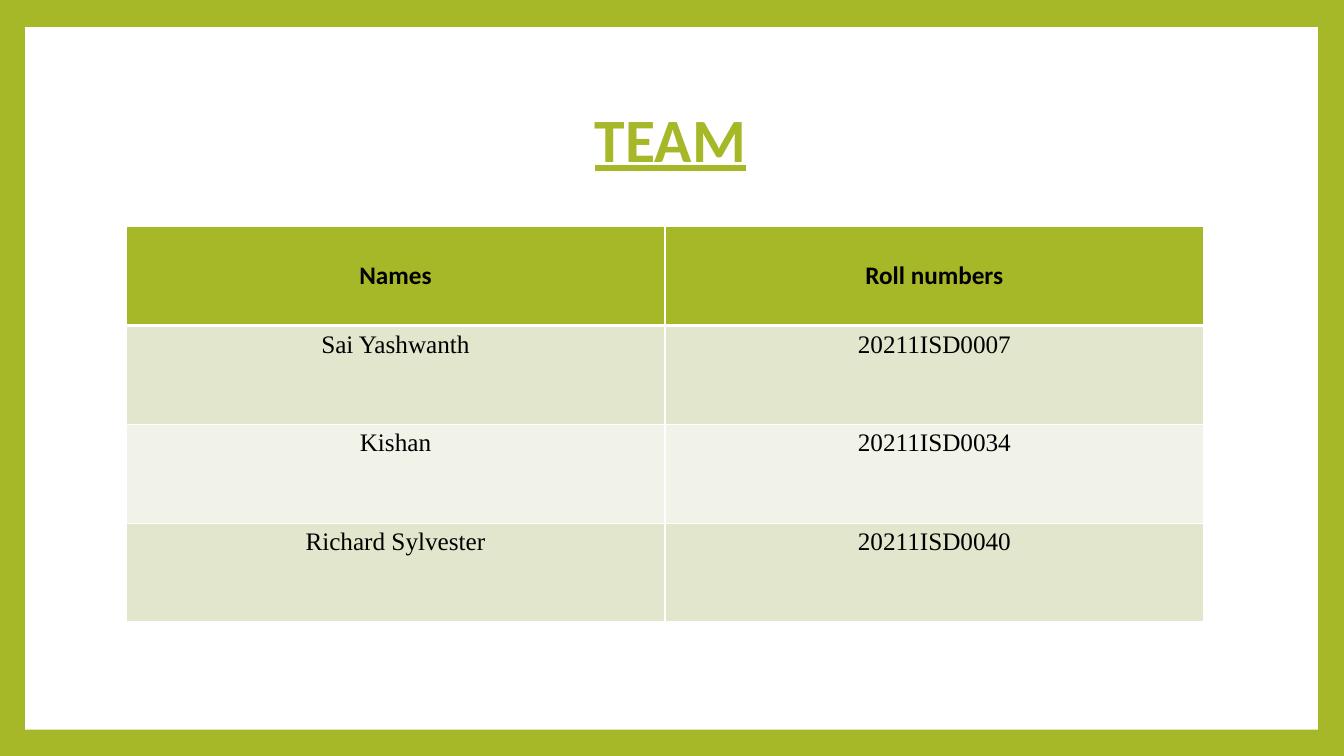
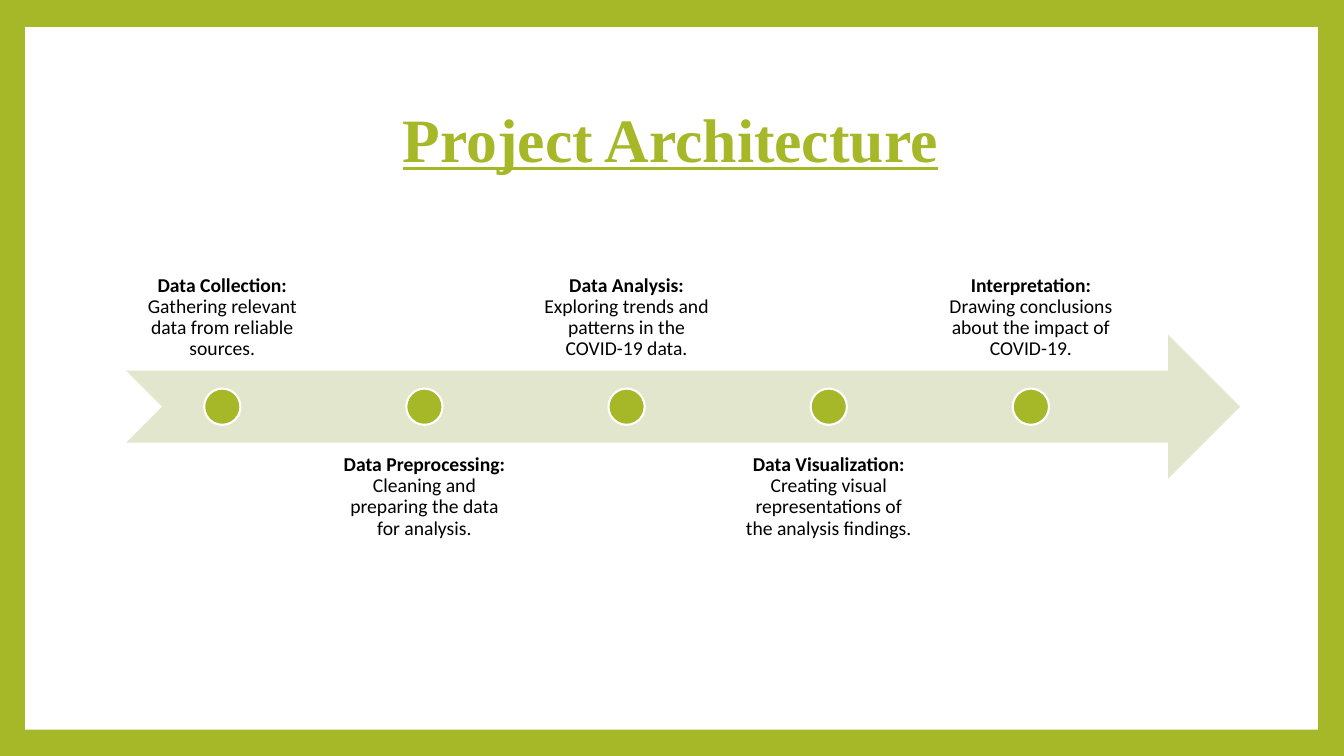
from lxml.etree import SubElement
from pptx import Presentation
from pptx.dml.color import RGBColor
from pptx.enum.shapes import MSO_SHAPE
from pptx.enum.text import MSO_ANCHOR, MSO_AUTO_SIZE, PP_ALIGN
from pptx.oxml.ns import qn
from pptx.util import Inches, Pt

COLORS = {"green": "A6B727", "white": "FFFFFF", "black": "000000",
          "band": "E1E6CD", "pale": "F1F3E8"}
SANS, SERIF = "Calibri", "Times New Roman"
LEFT, TOP = 1.25, 2.25


def rgb(name):
    return RGBColor.from_string(COLORS[name])


def write(tf, *parts, size=14, font=SANS, color="black", underline=False,
          anchor=MSO_ANCHOR.TOP, spacing=0.9):
    """Fill the frame with one centred paragraph of (text, bold) parts."""
    tf.word_wrap = True
    tf.vertical_anchor = anchor
    p = tf.paragraphs[0]
    p.alignment = PP_ALIGN.CENTER
    p.line_spacing = spacing
    for text, bold in parts:
        r = p.add_run()
        r.text = text
        r.font.size, r.font.name = Pt(size), font
        r.font.bold, r.font.underline = bold, underline
        r.font.color.rgb = rgb(color)


def set_border(cell, side, width):
    ln = SubElement(cell._tc.get_or_add_tcPr(), qn(f"a:ln{side}"), w=str(Pt(width)))
    fill = SubElement(ln, qn("a:solidFill"))
    SubElement(fill, qn("a:srgbClr"), val=COLORS["white"])


class Deck:
    def __init__(self):
        self.prs = Presentation()
        self.prs.slide_width, self.prs.slide_height = Inches(13.33), Inches(7.5)
        fill = self.prs.slide_master.background.fill
        fill.solid()
        fill.fore_color.rgb = rgb("green")
        self.layout = self.prs.slide_layouts.get_by_name("Title Only")
        title = self.layout.placeholders[0]
        title.left, title.top = Inches(LEFT), Inches(0.67)
        title.width, title.height = Inches(10.8), Inches(1.48)
        self.s = None

    def add_slide(self, title, font):
        self.s = self.prs.slides.add_slide(self.layout)
        if len(self.prs.slides) == 1:
            self.add_panel_to_layout()
        tf = self.s.shapes.title.text_frame
        tf.auto_size = MSO_AUTO_SIZE.NONE
        write(tf, (title, True), size=44, font=font, color="green",
              underline=True, anchor=MSO_ANCHOR.MIDDLE)

    def add_panel_to_layout(self):
        """Draw the white panel and move it behind the layout's placeholders."""
        panel = self.shape(MSO_SHAPE.RECTANGLE, 0.25, 0.27, 12.82, 6.97, "white")
        self.layout.shapes.element.insert(2, panel.element)

    def shape(self, kind, x, y, w, h, fill, line=None):
        sp = self.s.shapes.add_shape(kind, Inches(x), Inches(y), Inches(w), Inches(h))
        sp.shadow.inherit = False
        sp.fill.solid()
        sp.fill.fore_color.rgb = rgb(fill)
        if line:
            sp.line.color.rgb = rgb(line)
            sp.line.width = Pt(1.5)
        else:
            sp.line.fill.background()
        return sp

    def caption(self, x, y, w, h, heading, body, anchor):
        box = self.s.shapes.add_textbox(Inches(x), Inches(y), Inches(w), Inches(h))
        tf = box.text_frame
        tf.margin_left = tf.margin_right = Inches(0.11)
        tf.margin_top = tf.margin_bottom = Inches(0.11)
        write(tf, (heading + " ", True), (body, False), anchor=anchor)

    def table(self, rows, x, y, w, h):
        table = self.s.shapes.add_table(len(rows), len(rows[0]), Inches(x), Inches(y),
                                        Inches(w), Inches(h)).table
        for i, row in enumerate(rows):
            header = i == 0
            fill = "green" if header else "band" if i % 2 else "pale"
            for j, text in enumerate(row):
                cell = table.cell(i, j)
                for side in "LRTB":
                    thick = (header and side == "B") or (i == 1 and side == "T")
                    set_border(cell, side, 3 if thick else 1)
                cell.fill.solid()
                cell.fill.fore_color.rgb = rgb(fill)
                anchor = MSO_ANCHOR.MIDDLE if header else MSO_ANCHOR.TOP
                cell.vertical_anchor = anchor
                write(cell.text_frame, (text, header), size=18, spacing=1.0,
                      font=SANS if header else SERIF, anchor=anchor)

    def timeline(self, steps):
        """Place dots along an arrow, with captions alternating above and below."""
        arrow_top, arrow_h, pitch, w, dot = 3.32, 1.43, 2.005, 1.91, 0.36
        self.shape(MSO_SHAPE.NOTCHED_RIGHT_ARROW, LEFT, arrow_top, 11.05, arrow_h, "band")
        for i, (heading, body) in enumerate(steps):
            x = LEFT + i * pitch
            y, anchor = (4.4, MSO_ANCHOR.TOP) if i % 2 else (TOP, MSO_ANCHOR.BOTTOM)
            self.caption(x, y, w, arrow_h, heading, body, anchor)
            self.shape(MSO_SHAPE.OVAL, x + (w - dot) / 2,
                       arrow_top + (arrow_h - dot) / 2, dot, dot, "green", "white")


def main():
    deck = Deck()
    deck.add_slide("TEAM", SANS)
    deck.table([("Names", "Roll numbers"),
                ("Sai Yashwanth", "20211ISD0007"),
                ("Kishan", "20211ISD0034"),
                ("Richard Sylvester", "20211ISD0040")], LEFT, TOP, 10.69, 3.92)

    deck.add_slide("Project Architecture", SERIF)
    deck.timeline([
        ("Data Collection:", "Gathering relevant data from reliable sources."),
        ("Data Preprocessing:", "Cleaning and preparing the data for analysis."),
        ("Data Analysis:", "Exploring trends and patterns in the COVID-19 data."),
        ("Data Visualization:", "Creating visual representations of the analysis findings."),
        ("Interpretation:", "Drawing conclusions about the impact of COVID-19."),
    ])
    deck.prs.save("out.pptx")


if __name__ == "__main__":
    main()
